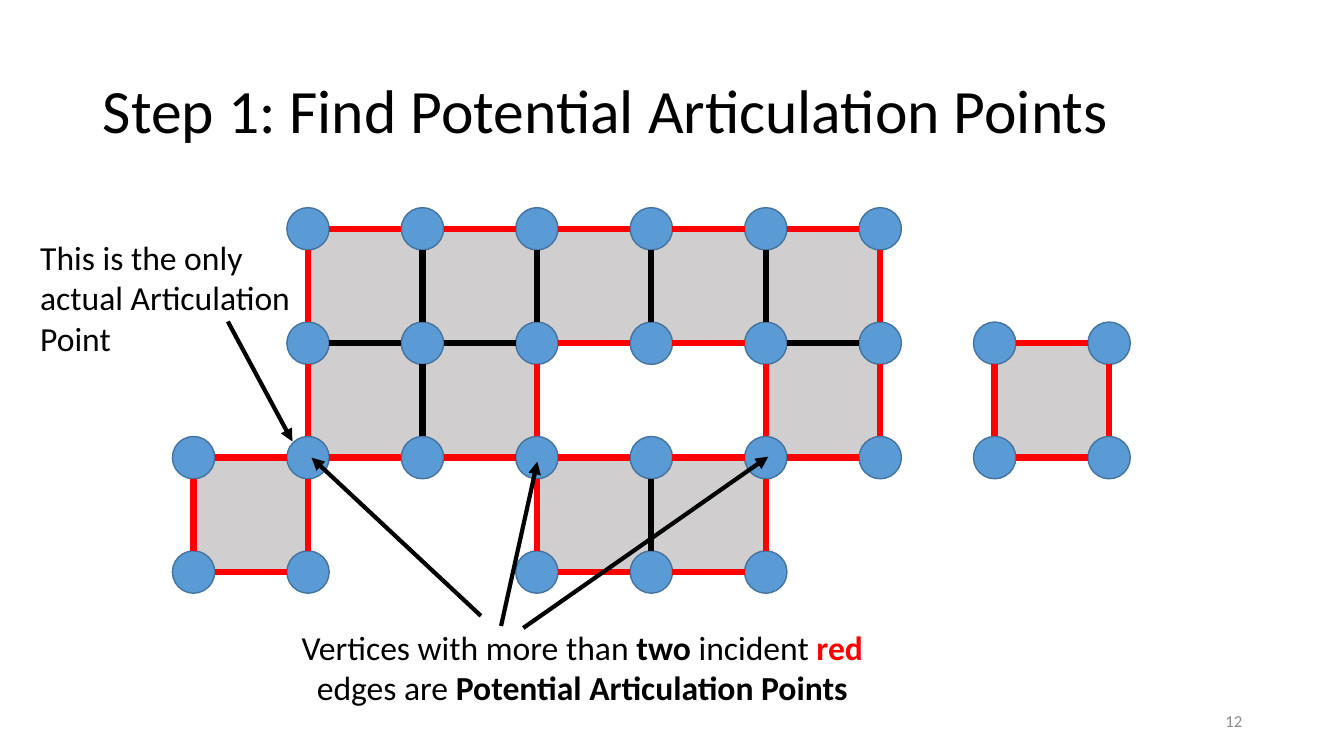
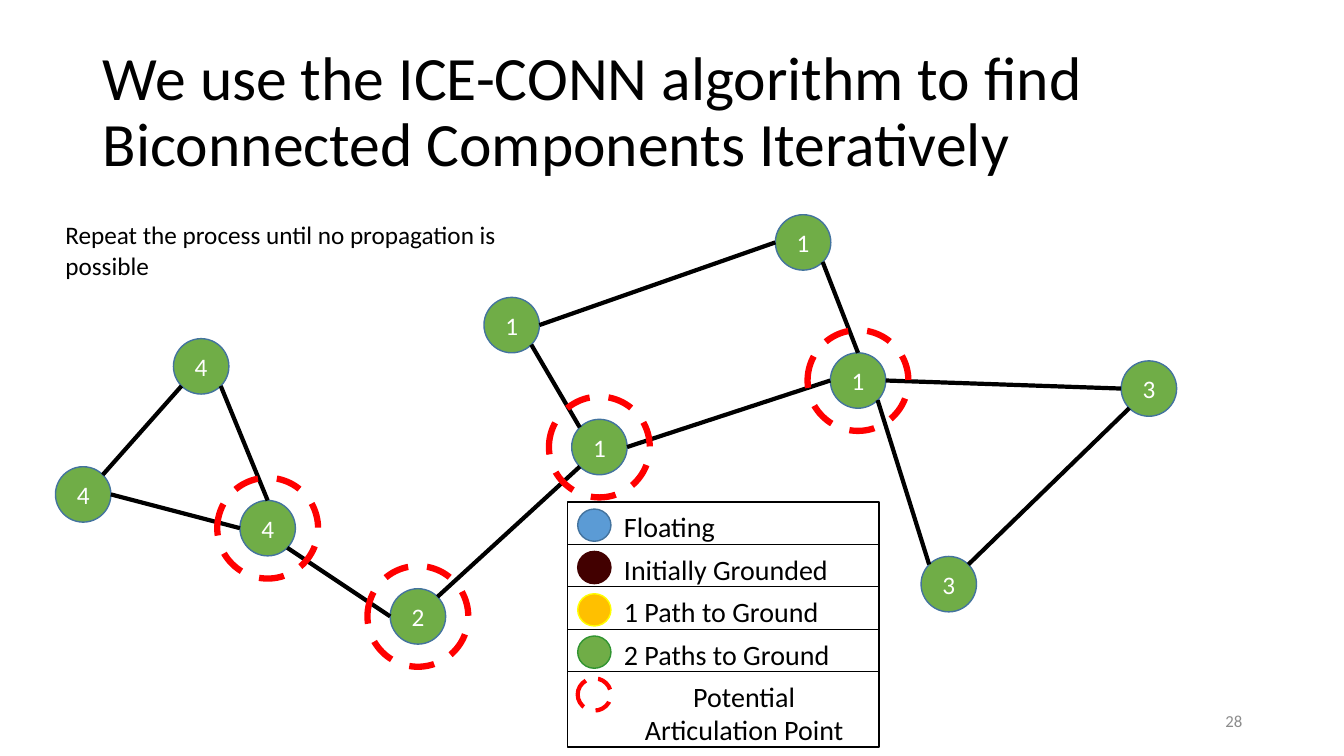
from dataclasses import dataclass
from itertools import product
from math import cos, radians, sin
from typing import NamedTuple, Optional, Sequence, Union

from lxml.etree import SubElement
from pptx import Presentation
from pptx.dml.color import RGBColor
from pptx.enum.dml import MSO_LINE as Dash
from pptx.enum.shapes import MSO_CONNECTOR as Connector, MSO_SHAPE as Preset
from pptx.enum.text import MSO_ANCHOR as Anchor, MSO_AUTO_SIZE as AutoSize, PP_ALIGN as Align
from pptx.oxml.ns import qn
from pptx.util import Inches, Pt

COLORS = {
    "text": "000000", "number": "8C8C8C", "white": "FFFFFF", "red": "FF0000",
    "cell": "D0CECE", "blue": "5B9BD5", "outline": "43739E", "green": "70AD47",
    "green line": "319431", "amber": "FFC000", "yellow": "FFFF00", "maroon": "420000",
}
FONT = "Calibri"
SLIDE_WIDTH, SLIDE_HEIGHT = Inches(13.33), Inches(7.5)
GRID_ROWS = 75
STEP = SLIDE_HEIGHT / GRID_ROWS  # square grid: columns are as wide as rows are high
TITLE_ONLY = 5


class Point(NamedTuple):
    column: float
    row: float


class Box(NamedTuple):
    left: float
    top: float
    width: float
    height: float


class Span(NamedTuple):
    text: str
    bold: bool = False
    color: Optional[str] = None


@dataclass(frozen=True)
class Node:
    label: str
    center: Point
    ringed: bool = False


class Edge(NamedTuple):
    start: str
    start_side: str
    end: str
    end_side: str


@dataclass(frozen=True)
class LegendEntry:
    label: str
    fill: Optional[str]
    line: str
    line_width: float = 1
    dash: Optional[Dash] = None
    align: Align = Align.LEFT


TITLE_BOX = Box(9.2, 4, 115, 14.5)
NUMBER_BOX = Box(94.2, 69.5, 30, 4)

LATTICE_ORIGIN = Point(19.2, 22.7)
LATTICE_PITCH = 11.35
VERTEX_SIZE = 4.2
CELLS = ([(column, 0) for column in range(1, 6)]
         + [(column, 1) for column in (1, 2, 5, 7)]
         + [(column, 2) for column in (0, 3, 4)])
POINTERS = (
    (Point(22.6, 31.9), Point(29, 43.8)),
    (Point(47.7, 61.1), Point(30.9, 45.4)),
    (Point(51.9, 62.3), Point(76.2, 45.3)),
    (Point(49.7, 62.1), Point(53.3, 45.8)),
)

NODE_SIZE, RING_SIZE = 5.5, 10
SIDES = {side: 45 * turn
         for turn, side in enumerate(("E", "SE", "S", "SW", "W", "NW", "N", "NE"))}
NODES = {
    "upper left": Node("1", Point(50.75, 32.25)),
    "top": Node("1", Point(79.65, 24.05)),
    "hub": Node("1", Point(85.1, 37.75), ringed=True),
    "middle": Node("1", Point(59.45, 44.35), ringed=True),
    "bottom": Node("2", Point(41.45, 61.15), ringed=True),
    "right": Node("3", Point(113.95, 38.55)),
    "lower right": Node("3", Point(94.1, 57.95)),
    "junction": Node("4", Point(26.55, 52.4), ringed=True),
    "peak": Node("4", Point(19.95, 36.35)),
    "left": Node("4", Point(8.25, 49.05)),
}
EDGES = (
    Edge("upper left", "E", "top", "W"),
    Edge("upper left", "SE", "middle", "NW"),
    Edge("middle", "SW", "bottom", "NE"),
    Edge("top", "SE", "hub", "N"),
    Edge("hub", "E", "right", "W"),
    Edge("right", "SW", "lower right", "NE"),
    Edge("middle", "E", "hub", "W"),
    Edge("hub", "SE", "lower right", "NW"),
    Edge("left", "NE", "peak", "SW"),
    Edge("left", "E", "junction", "W"),
    Edge("junction", "N", "peak", "SE"),
    Edge("junction", "SE", "bottom", "W"),
)

LEGEND_BOX = Box(56.3, 49.8, 30.9, 24.3)
LEGEND_ROW = 4.2
LEGEND = (
    LegendEntry("Floating", "blue", "outline"),
    LegendEntry("Initially Grounded", "maroon", "maroon"),
    LegendEntry("1 Path to Ground", "amber", "yellow"),
    LegendEntry("2 Paths to Ground", "green", "green line"),
    LegendEntry("Potential Articulation Point", None, "red", 3, Dash.DASH, Align.CENTER),
)


def rgb(name: str) -> RGBColor:
    return RGBColor.from_string(COLORS[name])


def on_grid(lengths: Sequence[float]) -> list[int]:
    return [round(length * STEP) for length in lengths]


def centered(center: Point, size: float) -> Box:
    return Box(center.column - size / 2, center.row - size / 2, size, size)


def write(shape, text: Union[str, Sequence[Span]], *, size: float, color: str = "text",
          align: Align = Align.LEFT, anchor: Anchor = Anchor.TOP,
          line_spacing: float = 1, inset: bool = True) -> None:
    frame = shape.text_frame
    frame.word_wrap = True
    frame.auto_size = AutoSize.NONE
    frame.vertical_anchor = anchor
    if not inset:
        frame.margin_left = frame.margin_right = frame.margin_top = frame.margin_bottom = 0
    paragraph = frame.paragraphs[0]
    paragraph.alignment = align
    paragraph.line_spacing = line_spacing
    for span in [Span(text)] if isinstance(text, str) else text:
        run = paragraph.add_run()
        run.text = span.text
        run.font.name, run.font.size, run.font.bold = FONT, Pt(size), span.bold
        run.font.color.rgb = rgb(span.color or color)


def add_text(slide, box: Box, text: Union[str, Sequence[Span]], **style) -> None:
    write(slide.shapes.add_textbox(*on_grid(box)), text, **style)


def add_figure(slide, preset: Preset, box: Box, *, fill: Optional[str], line: str,
               line_width: float = 1, dash: Optional[Dash] = None):
    shape = slide.shapes.add_shape(preset, *on_grid(box))
    shape.shadow.inherit = False
    if fill:
        shape.fill.solid()
        shape.fill.fore_color.rgb = rgb(fill)
    else:
        shape.fill.background()
    shape.line.color.rgb = rgb(line)
    shape.line.width = Pt(line_width)
    if dash:
        shape.line.dash_style = dash
    return shape


def add_line(slide, start: Point, end: Point, *, width: float, color: str = "text",
             arrow: bool = False) -> None:
    connector = slide.shapes.add_connector(Connector.STRAIGHT, *on_grid((*start, *end)))
    connector.line.color.rgb = rgb(color)
    connector.line.width = Pt(width)
    properties = connector.element.spPr
    if arrow:
        SubElement(properties.find(qn("a:ln")), qn("a:tailEnd"), type="triangle")
    SubElement(properties, qn("a:effectLst"))


def add_titled_slide(presentation, title: str, number: int):
    slide = presentation.slides.add_slide(presentation.slide_layouts[TITLE_ONLY])
    shape = slide.shapes.title
    shape.left, shape.top, shape.width, shape.height = on_grid(TITLE_BOX)
    write(shape, title, size=44, anchor=Anchor.MIDDLE, line_spacing=0.9)
    add_text(slide, NUMBER_BOX, str(number), size=12, color="number",
             align=Align.RIGHT, anchor=Anchor.MIDDLE)
    return slide


def lattice_point(column: float, row: float) -> Point:
    return Point(LATTICE_ORIGIN.column + column * LATTICE_PITCH,
                 LATTICE_ORIGIN.row + row * LATTICE_PITCH)


def add_lattice(slide) -> None:
    """Draw the cells; an edge is red when only one cell borders it."""
    vertices, borders = set(), {}
    for column, row in CELLS:
        add_figure(slide, Preset.RECTANGLE,
                   centered(lattice_point(column + 0.5, row + 0.5), LATTICE_PITCH),
                   fill="cell", line="cell")
        vertices.update(product((column, column + 1), (row, row + 1)))
        for edge in ((column, row, 1, 0), (column, row + 1, 1, 0),
                     (column, row, 0, 1), (column + 1, row, 0, 1)):
            borders[edge] = borders.get(edge, 0) + 1
    for vertex in sorted(vertices):
        add_figure(slide, Preset.OVAL, centered(lattice_point(*vertex), VERTEX_SIZE),
                   fill="blue", line="outline")
    gap = VERTEX_SIZE / 2 / LATTICE_PITCH
    for (column, row, across, down), cell_count in borders.items():
        start, end = (lattice_point(column + across * share, row + down * share)
                      for share in (gap, 1 - gap))
        add_line(slide, start, end, width=4.5, color="red" if cell_count == 1 else "text")


def rim_point(node: Node, side: str) -> Point:
    angle = radians(SIDES[side])
    return Point(node.center.column + NODE_SIZE / 2 * cos(angle),
                 node.center.row + NODE_SIZE / 2 * sin(angle))


def add_graph(slide) -> None:
    for node in NODES.values():
        shape = add_figure(slide, Preset.OVAL, centered(node.center, NODE_SIZE),
                           fill="green", line="outline")
        write(shape, node.label, size=18, color="white", align=Align.CENTER,
              anchor=Anchor.MIDDLE, inset=False)
    for edge in EDGES:
        add_line(slide, rim_point(NODES[edge.start], edge.start_side),
                 rim_point(NODES[edge.end], edge.end_side), width=3)
    for node in NODES.values():
        if node.ringed:
            add_figure(slide, Preset.OVAL, centered(node.center, RING_SIZE),
                       fill=None, line="red", line_width=4.5, dash=Dash.DASH)


def add_legend(slide) -> None:
    left, top, width, _ = LEGEND_BOX
    add_figure(slide, Preset.RECTANGLE, LEGEND_BOX, fill=None, line="text")
    for index, entry in enumerate(LEGEND):
        row = top + index * LEGEND_ROW
        if index:
            add_line(slide, Point(left, row), Point(left + width, row), width=0.5)
        add_figure(slide, Preset.OVAL, Box(left + 1, row + 0.7, 3.3, 3.2), fill=entry.fill,
                   line=entry.line, line_width=entry.line_width, dash=entry.dash)
        add_text(slide, Box(left + 4.6, row + 0.3, 25.8, 3.9), entry.label,
                 size=20, align=entry.align)


def build_potential_points(presentation) -> None:
    slide = add_titled_slide(presentation, "Step 1: Find Potential Articulation Points", 12)
    add_lattice(slide)
    add_text(slide, Box(3, 23, 27.6, 13.1), "This is the only actual Articulation Point", size=24)
    add_text(slide, Box(28.2, 61.7, 59.1, 9.1), (
        Span("Vertices with more than "), Span("two", bold=True), Span(" incident "),
        Span("red", bold=True, color="red"), Span(" edges are "),
        Span("Potential Articulation Points", bold=True),
    ), size=24, align=Align.CENTER)
    for start, end in POINTERS:
        add_line(slide, start, end, width=3, arrow=True)


def build_components(presentation) -> None:
    slide = add_titled_slide(
        presentation,
        "We use the ICE-CONN algorithm to find Biconnected Components Iteratively", 28)
    add_graph(slide)
    add_text(slide, Box(5.5, 21.3, 45.2, 7.1),
             "Repeat the process until no propagation is possible", size=18)
    add_legend(slide)


def main() -> None:
    presentation = Presentation()
    presentation.slide_width, presentation.slide_height = SLIDE_WIDTH, SLIDE_HEIGHT
    build_potential_points(presentation)
    build_components(presentation)
    presentation.save("out.pptx")


if __name__ == "__main__":
    main()
